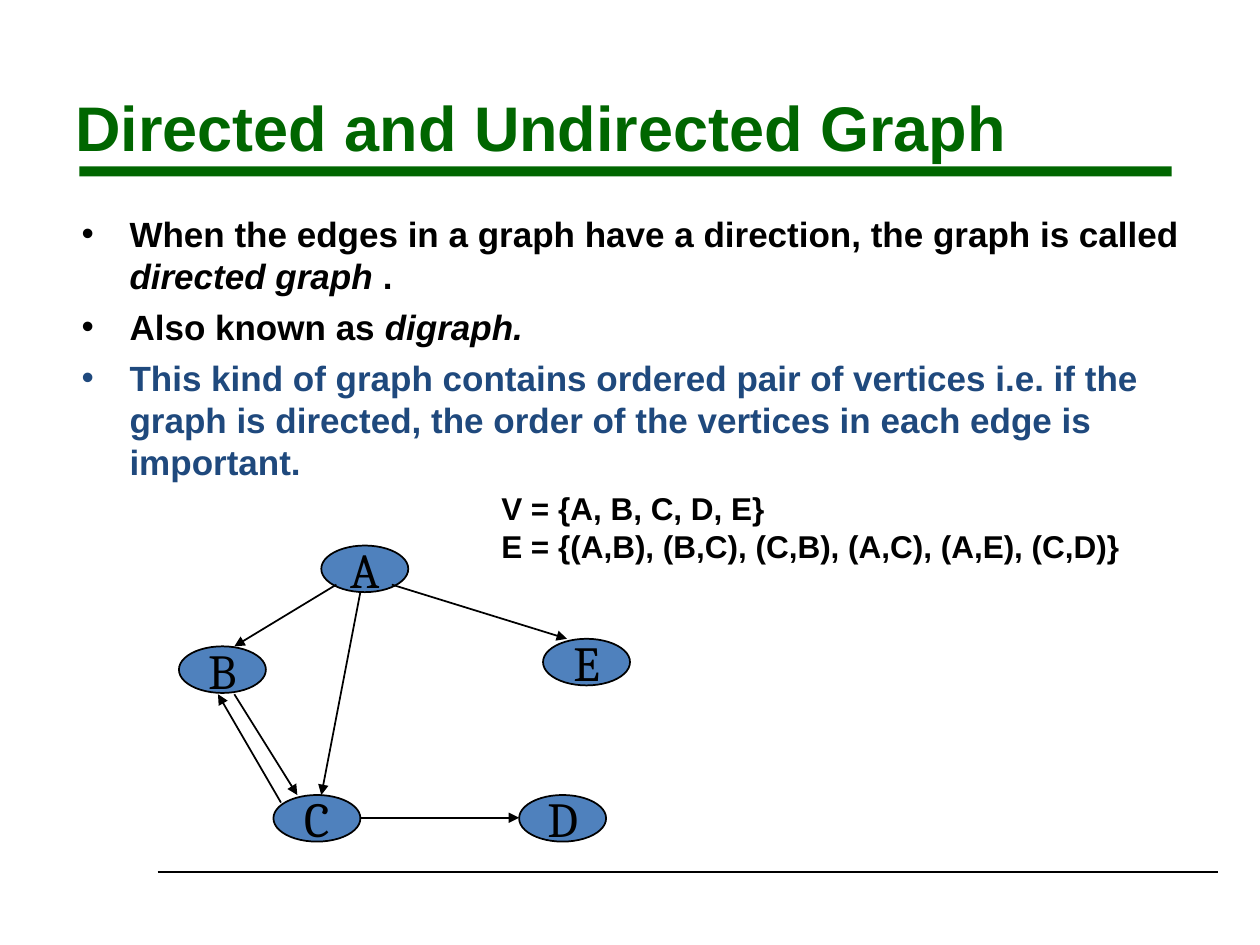
from lxml.etree import SubElement
from pptx import Presentation
from pptx.dml.color import RGBColor
from pptx.enum.shapes import MSO_CONNECTOR, MSO_SHAPE
from pptx.enum.text import MSO_ANCHOR, PP_ALIGN
from pptx.oxml.ns import qn
from pptx.util import Inches, Pt


def color(value):
    return RGBColor.from_string(value)


def write(para, text, shade, **formats):
    span = para.add_run()
    span.text = text
    span.font.color.rgb = color(shade)
    for name, value in formats.items():
        setattr(span.font, name, value)


BLACK, GREEN, NAVY, BLUE = "000000", "006600", "1F497D", "4F81BD"
TITLE = {"name": "Arial", "size": Pt(36), "bold": True}
BODY = {"name": "Arial", "size": Pt(20), "bold": True}
SETS = {"name": "Arial", "size": Pt(18), "bold": True}
LETTER = {"name": "Cambria", "size": Pt(28)}

deck = Presentation()
deck.slide_width, deck.slide_height = Inches(10), Inches(7.5)
page = deck.slides.add_slide(deck.slide_layouts[6])

bar = page.shapes.add_shape(
    MSO_SHAPE.RECTANGLE, Inches(0.63), Inches(1.32), Inches(8.67), Inches(0.08)
)
bar.shadow.inherit = False
bar.fill.solid()
bar.fill.fore_color.rgb = color(GREEN)
bar.line.fill.background()

title = page.shapes.add_textbox(Inches(0.5), Inches(0.5), Inches(9), Inches(0.8))
title_format = {
    "word_wrap": True,
    "vertical_anchor": MSO_ANCHOR.BOTTOM,
    "margin_bottom": 0,
}
for name, value in title_format.items():
    setattr(title.text_frame, name, value)
write(title.text_frame.paragraphs[0], "Directed and Undirected Graph", GREEN, **TITLE)

points = [
    (BLACK, [
        ("When the edges in a graph have a direction, the graph is called ", False),
        ("directed graph", True),
        (" .", False),
    ]),
    (BLACK, [("Also known as ", False), ("digraph.", True)]),
    (NAVY, [(
        "This kind of graph contains ordered pair of vertices i.e. if the graph is "
        "directed, the order of the vertices in each edge is important.", False,
    )]),
]
body = page.shapes.add_textbox(Inches(0.55), Inches(1.64), Inches(9), Inches(4.95))
body.text_frame.word_wrap = True
for index, (shade, spans) in enumerate(points):
    para = body.text_frame.add_paragraph() if index else body.text_frame.paragraphs[0]
    para.space_before = Pt(5 if index else 0)
    properties = para._p.get_or_add_pPr()
    properties.set("marL", str(Inches(0.38)))
    properties.set("indent", str(-Inches(0.38)))
    bullet_color = SubElement(properties, qn("a:buClr"))
    SubElement(bullet_color, qn("a:srgbClr"), val=shade)
    SubElement(properties, qn("a:buFont"), typeface="Arial")
    SubElement(properties, qn("a:buChar"), char="•")
    for text, italic in spans:
        write(para, text, shade, italic=italic, **BODY)

vertices = {
    "A": (2.55, 4.33),
    "B": (1.42, 5.13),
    "C": (2.17, 6.31),
    "D": (4.12, 6.31),
    "E": (4.31, 5.07),
}
for letter, (left, top) in vertices.items():
    vertex = page.shapes.add_shape(
        MSO_SHAPE.OVAL, Inches(left), Inches(top), Inches(0.69), Inches(0.37)
    )
    vertex.shadow.inherit = False
    vertex.fill.solid()
    vertex.fill.fore_color.rgb = color(BLUE)
    vertex.line.color.rgb = color(BLACK)
    vertex.line.width = Pt(1)
    vertex.text_frame.word_wrap = False
    vertex.text_frame.vertical_anchor = MSO_ANCHOR.MIDDLE
    para = vertex.text_frame.paragraphs[0]
    para.alignment = PP_ALIGN.CENTER
    write(para, letter, BLACK, **LETTER)

lines = [
    (1.25, 6.92, 9.67, 6.92, 0.75, False),
    (2.67, 4.64, 1.86, 5.13, 1, True),
    (3.11, 4.64, 4.5, 5.07, 1, True),
    (2.86, 4.7, 2.55, 6.31, 1, True),
    (2.86, 6.49, 4.12, 6.49, 1, True),
    (1.86, 5.51, 2.36, 6.31, 1, True),
    (2.23, 6.37, 1.73, 5.51, 1, True),
]
for *ends, width, directed in lines:
    edge = page.shapes.add_connector(MSO_CONNECTOR.STRAIGHT, *map(Inches, ends))
    edge.line.color.rgb = color(BLACK)
    edge.line.width = Pt(width)
    if directed:
        SubElement(edge.line._get_or_add_ln(), qn("a:tailEnd"), type="triangle")
    SubElement(edge._element.spPr, qn("a:effectLst"))

sets = page.shapes.add_textbox(Inches(3.88), Inches(3.83), Inches(5.11), Inches(1))
sets.text_frame.word_wrap = False
formulas = ["V = {A, B, C, D, E}", "E = {(A,B), (B,C), (C,B), (A,C), (A,E), (C,D)}"]
for index, formula in enumerate(formulas):
    para = sets.text_frame.add_paragraph() if index else sets.text_frame.paragraphs[0]
    write(para, formula, BLACK, **SETS)

deck.save("out.pptx")
